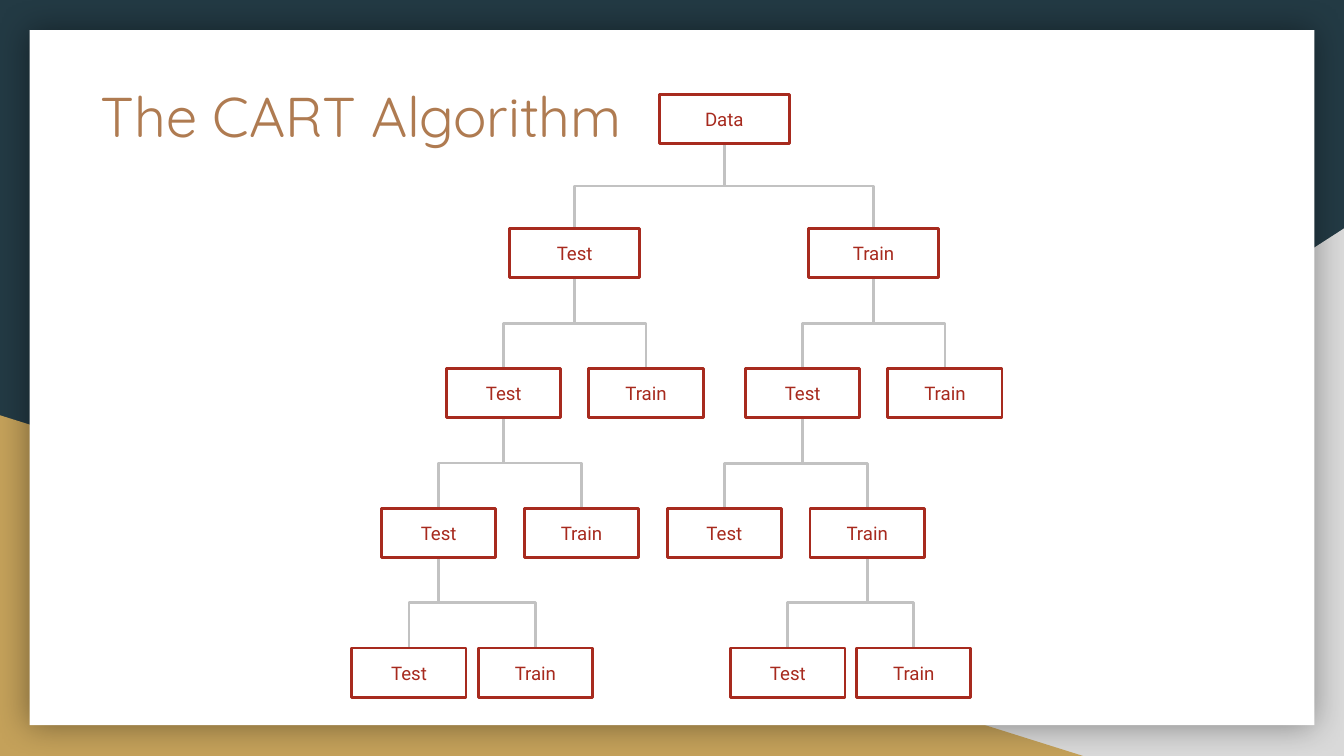
from dataclasses import dataclass
from typing import Iterator

import lxml.etree
import pptx
import pptx.dml.color
import pptx.enum.shapes
import pptx.enum.text
import pptx.oxml.ns
import pptx.shapes.autoshape
import pptx.slide
import pptx.text.text
import pptx.util

Cm = pptx.util.Cm
Pt = pptx.util.Pt
qn = pptx.oxml.ns.qn
SHAPE = pptx.enum.shapes.MSO_SHAPE
ANCHOR = pptx.enum.text.MSO_ANCHOR
ALIGN = pptx.enum.text.PP_ALIGN

NAVY, GOLD, GREY, WHITE = "233A44", "C4A15A", "D9D9D9", "FFFFFF"
BRONZE, RED, BRANCH = "AF7B51", "A72A1E", "C2C2C2"
LEVEL_TOPS = [1.78, 4.32, 6.97, 9.61, 12.25]
LEVEL_WIDTHS = [2.46, 2.46, 2.16, 2.16, 2.16]
NODE_HEIGHT = 0.93


@dataclass(frozen=True)
class Panel:
    kind: SHAPE
    left: float
    top: float
    width: float
    height: float
    fill: str
    flipped: bool = False
    shadowed: bool = False


@dataclass(frozen=True)
class Node:
    label: str
    center: float
    children: tuple["Node", ...] = ()


PANELS = [
    Panel(SHAPE.RIGHT_TRIANGLE, 9.96, 4.32, 15.44, 9.97, GREY, flipped=True),
    Panel(SHAPE.RIGHT_TRIANGLE, 0, 7.85, 20.47, 6.44, GOLD),
    Panel(SHAPE.RECTANGLE, 0.56, 0.57, 24.28, 13.14, WHITE, shadowed=True),
]

TREE = Node("Data", 13.69, (
    Node("Test", 10.86, (
        Node("Test", 9.52, (
            Node("Test", 8.29, (Node("Test", 7.73), Node("Train", 10.12))),
            Node("Train", 10.99),
        )),
        Node("Train", 12.21),
    )),
    Node("Train", 16.51, (
        Node("Test", 15.17, (
            Node("Test", 13.69),
            Node("Train", 16.39, (Node("Test", 14.89), Node("Train", 17.27))),
        )),
        Node("Train", 17.86),
    )),
))


def color(value: str) -> pptx.dml.color.RGBColor:
    return pptx.dml.color.RGBColor.from_string(value)


def walk(node: Node, level: int = 0) -> Iterator[tuple[Node, int]]:
    yield node, level
    for child in node.children:
        yield from walk(child, level + 1)


def add_text(frame: pptx.text.text.TextFrame, text: str, font: str, size: float,
             fill: str, align: ALIGN, anchor: ANCHOR) -> None:
    frame.word_wrap = True
    frame.auto_size = pptx.enum.text.MSO_AUTO_SIZE.NONE
    frame.vertical_anchor = anchor
    frame.margin_left = frame.margin_right = Cm(0.25)
    frame.margin_top = frame.margin_bottom = Cm(0.25)
    paragraph = frame.paragraphs[0]
    paragraph.alignment = align
    run = paragraph.add_run()
    run.text = text
    run.font.name = font
    run.font.size = Pt(size)
    run.font.color.rgb = color(fill)


def add_glow(shape: pptx.shapes.autoshape.Shape) -> None:
    effects = shape._element.spPr.find(qn("a:effectLst"))
    shadow = lxml.etree.SubElement(effects, qn("a:outerShdw"), blurRad=str(Pt(18)),
                                   dist="0", algn="ctr", rotWithShape="0")
    black = lxml.etree.SubElement(shadow, qn("a:srgbClr"), val="000000")
    lxml.etree.SubElement(black, qn("a:alpha"), val="40000")


def add_panel(slide: pptx.slide.Slide, panel: Panel) -> None:
    shape = slide.shapes.add_shape(panel.kind, Cm(panel.left), Cm(panel.top),
                                   Cm(panel.width), Cm(panel.height))
    shape.shadow.inherit = False
    shape.fill.solid()
    shape.fill.fore_color.rgb = color(panel.fill)
    shape.line.fill.background()
    if panel.flipped:
        shape._element.spPr.xfrm.set("flipH", "1")
    if panel.shadowed:
        add_glow(shape)


def add_title(slide: pptx.slide.Slide, text: str) -> None:
    title = slide.shapes.title
    title.left, title.top, title.width, title.height = Cm(1.65), Cm(1.3), Cm(20.85), Cm(2.64)
    add_text(title.text_frame, text, "Quicksand", 30, BRONZE, ALIGN.LEFT, ANCHOR.TOP)
    slide.shapes._spTree.append(title._element)


def add_branch(slide: pptx.slide.Slide, parent: Node, child: Node, level: int) -> None:
    start = LEVEL_TOPS[level] + NODE_HEIGHT
    end = LEVEL_TOPS[level + 1]
    drop, spread = end - start, abs(child.center - parent.center)
    middle_x, middle_y = (parent.center + child.center) / 2, (start + end) / 2
    rightward = child.center > parent.center
    half = -drop / 2 if rightward else drop / 2
    connector = slide.shapes.add_connector(
        pptx.enum.shapes.MSO_CONNECTOR.ELBOW,
        Cm(middle_x - half), Cm(middle_y - spread / 2),
        Cm(middle_x + half), Cm(middle_y + spread / 2))
    properties = connector._element.spPr
    properties.xfrm.set("rot", str((270 if rightward else 90) * 60000))
    connector.line.color.rgb = color(BRANCH)
    connector.line.width = Pt(1.5)
    lxml.etree.SubElement(properties, qn("a:effectLst"))


def add_node(slide: pptx.slide.Slide, node: Node, level: int) -> None:
    width = LEVEL_WIDTHS[level]
    shape = slide.shapes.add_shape(SHAPE.RECTANGLE, Cm(node.center - width / 2),
                                   Cm(LEVEL_TOPS[level]), Cm(width), Cm(NODE_HEIGHT))
    shape.shadow.inherit = False
    shape.fill.background()
    shape.line.color.rgb = color(RED)
    shape.line.width = Pt(1.5)
    add_text(shape.text_frame, node.label, "Roboto", 10, RED, ALIGN.CENTER, ANCHOR.MIDDLE)


def main() -> None:
    presentation = pptx.Presentation()
    presentation.slide_width, presentation.slide_height = Cm(25.4), Cm(14.29)
    slide = presentation.slides.add_slide(presentation.slide_layouts[5])
    slide.background.fill.solid()
    slide.background.fill.fore_color.rgb = color(NAVY)
    for panel in PANELS:
        add_panel(slide, panel)
    add_title(slide, "The CART Algorithm")
    for node, level in walk(TREE):
        for child in node.children:
            add_branch(slide, node, child, level)
    for node, level in walk(TREE):
        add_node(slide, node, level)
    presentation.save("out.pptx")


if __name__ == "__main__":
    main()
